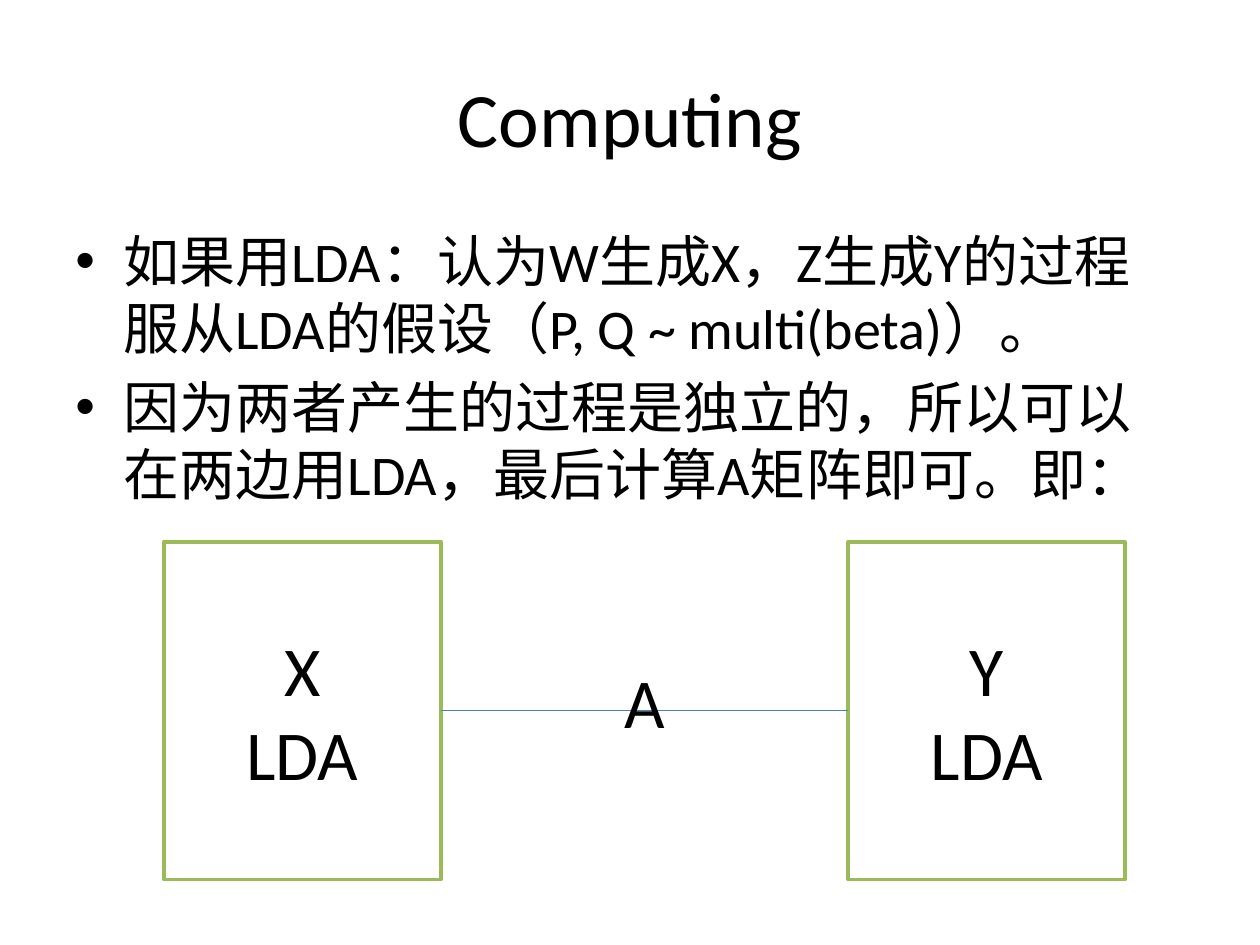
from lxml import etree
from pptx import Presentation
from pptx.dml.color import RGBColor
from pptx.enum.shapes import MSO_CONNECTOR, MSO_SHAPE
from pptx.enum.text import MSO_ANCHOR, PP_ALIGN
from pptx.oxml.ns import qn
from pptx.util import Inches, Pt

CENTER = PP_ALIGN.CENTER
LEFT = PP_ALIGN.LEFT
TOP = MSO_ANCHOR.TOP
MIDDLE = MSO_ANCHOR.MIDDLE
RECT = MSO_SHAPE.RECTANGLE
STRAIGHT = MSO_CONNECTOR.STRAIGHT

FONT = "Calibri"
COLORS = {"text": "000000", "fill": "FFFFFF", "border": "9BBB59", "link": "4B7EBC"}
POINTS = [
    "如果用LDA：认为W生成X，Z生成Y的过程服从LDA的假设（P, Q ~ multi(beta)）。",
    "因为两者产生的过程是独立的，所以可以在两边用LDA，最后计算A矩阵即可。即：",
]


def rgb(name):
    """Return a colour from the palette."""
    return RGBColor.from_string(COLORS[name])


def write(sp, lines, size, align=CENTER, anchor=MIDDLE):
    """Fill a shape with one paragraph per line."""
    tf = sp.text_frame
    tf.word_wrap = True
    tf.vertical_anchor = anchor
    for i, line in enumerate(lines):
        p = tf.paragraphs[0] if i == 0 else tf.add_paragraph()
        p.alignment = align
        r = p.add_run()
        r.text = line
        for key, value in {"name": FONT, "size": Pt(size)}.items():
            setattr(r.font, key, value)
        r.font.color.rgb = rgb("text")
    return tf


def add_text(s, box, lines, size, **layout):
    """Add a wrapped text box at box (left, top, width, height)."""
    sp = s.shapes.add_textbox(*map(Inches, box))
    return write(sp, lines, size, **layout)


def add_bullets(s, box, lines, size):
    """Add a bulleted list with hanging indents."""
    tf = add_text(s, box, lines, size, align=LEFT, anchor=TOP)
    for p in tf.paragraphs:
        p.space_before = Pt(size * 0.2)
        pPr = p._p.get_or_add_pPr()
        pPr.set("marL", str(Inches(0.38)))
        pPr.set("indent", str(-Inches(0.38)))
        etree.SubElement(pPr, qn("a:buFont")).set("typeface", "Arial")
        etree.SubElement(pPr, qn("a:buChar")).set("char", "•")


def add_node(s, box, lines):
    """Add an outlined model box with centred lines."""
    sp = s.shapes.add_shape(RECT, *map(Inches, box))
    sp.shadow.inherit = False
    sp.fill.solid()
    sp.fill.fore_color.rgb = rgb("fill")
    sp.line.color.rgb = rgb("border")
    sp.line.width = Pt(2)
    write(sp, lines, 40)
    return sp


def add_diagram(s, box):
    """Add the X and Y models at both ends of box, joined by matrix A."""
    left, top, width, height = box
    node_w = 2.2
    x_node, y_node = (
        add_node(s, (x, top, node_w, height), [name, "LDA"])
        for name, x in (("X", left), ("Y", left + width - node_w))
    )
    link = s.shapes.add_connector(STRAIGHT, 0, 0, 0, 0)
    link.begin_connect(x_node, 3)
    link.end_connect(y_node, 1)
    link.line.color.rgb = rgb("link")
    link.line.width = Pt(0.75)
    etree.SubElement(link._element.spPr, qn("a:effectLst"))
    add_text(s, (left + 2.99, top + 0.88, 1.65, 0.77), ["A"], 40, anchor=TOP)


def build():
    """Build and save the slide."""
    prs = Presentation()
    prs.slide_width, prs.slide_height = Inches(10), Inches(7.5)
    s = prs.slides.add_slide(prs.slide_layouts[6])
    add_text(s, (0.5, 0.3, 9, 1.25), ["Computing"], 44)
    add_bullets(s, (0.5, 1.75, 9, 4.95), POINTS, 32)
    add_diagram(s, (1.3, 4.3, 7.63, 2.68))
    prs.save("out.pptx")


build()
